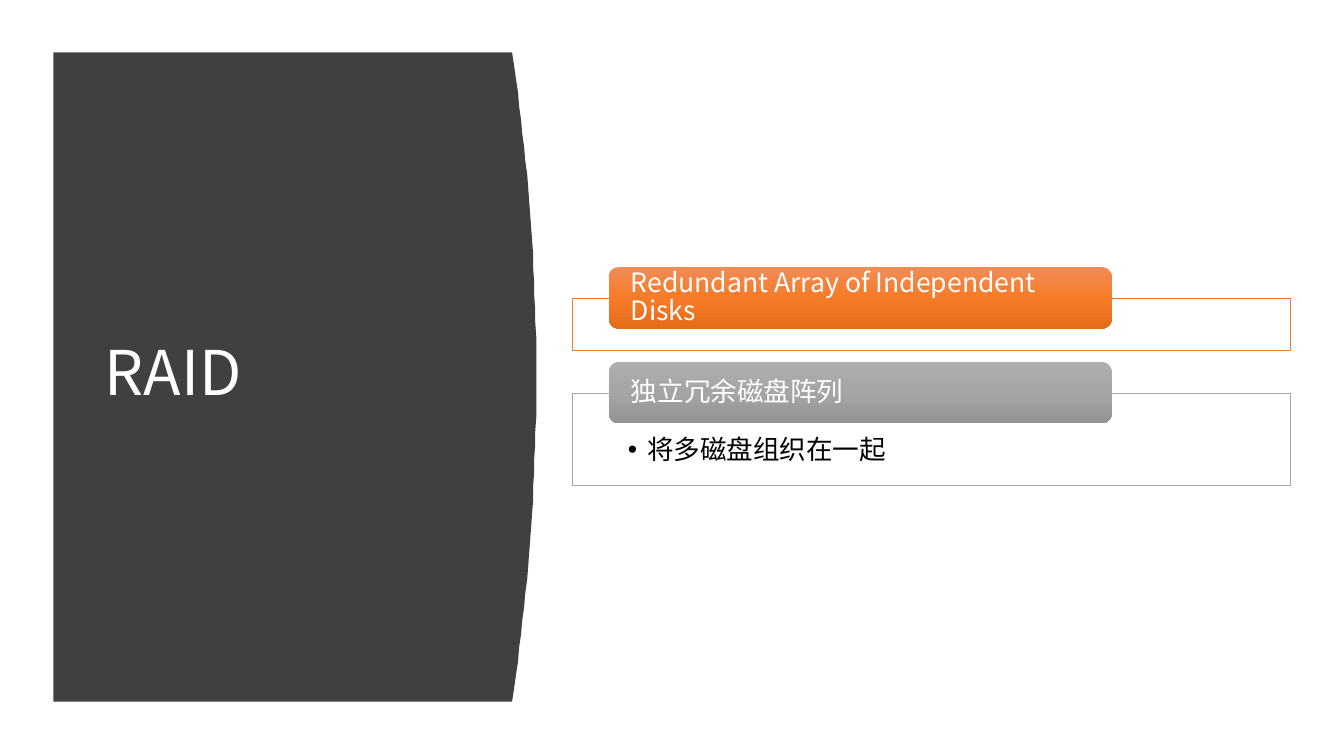
import copy

import pptx
import pptx.dml.color
import pptx.enum.shapes
import pptx.enum.text
import pptx.oxml
import pptx.oxml.ns
import pptx.util

PX = 9144  # EMU per px, 100 px to the inch
FACE = "Noto Sans CJK SC"
HUES = {
    "panel": "404040", "white": "FFFFFF", "black": "000000",
    "orange": "ED7D31", "gray": "A5A5A5",
}
FADES = {
    "orange": ["F18C57", "F67B28", "E56C19"],
    "gray": ["AFAFAF", "A5A5A5", "939393"],
}
KINDS = pptx.enum.shapes.MSO_SHAPE
ANCHOR = pptx.enum.text.MSO_ANCHOR
LEFT = pptx.enum.text.PP_ALIGN.LEFT
FIT = pptx.enum.text.MSO_AUTO_SIZE.NONE


def rgb(code):
    return pptx.dml.color.RGBColor.from_string(code)


def apply(item, values):
    for key, value in values.items():
        setattr(item, key, value)


def child(node, tag, **attrs):
    part = pptx.oxml.ns.qn(tag)
    return node.makeelement(part, attrs)


def write(shape, text, size, hue, anchor, pads):
    """Fill a shape with one left-aligned paragraph."""
    frame = shape.text_frame
    frame.text = text
    sides = ["margin_left", "margin_top", "margin_right", "margin_bottom"]
    apply(frame, {"word_wrap": True, "auto_size": FIT, "vertical_anchor": anchor})
    apply(frame, {side: pad * PX for side, pad in zip(sides, pads)})
    para = frame.paragraphs[0]
    apply(para, {"alignment": LEFT, "line_spacing": 0.9})
    font = para.runs[0].font
    apply(font, {"name": FACE, "size": pptx.util.Pt(size), "bold": False})
    font.color.rgb = rgb(HUES[hue])
    latin = font._element.find(pptx.oxml.ns.qn("a:latin"))
    latin.addnext(child(latin, "a:ea", typeface=FACE))
    return para


def block(slide, kind, box):
    shape = slide.shapes.add_shape(kind, *[n * PX for n in box])
    shape.shadow.inherit = False
    return shape


def panel(slide):
    """Dark panel whose right edge bulges as a parabola."""
    left, top, side, bottom, bulge, steps = 53, 52, 508, 696, 24, 48
    edge = []
    for i in range(steps + 1):
        t = i / steps
        edge.append((side + bulge * 4 * t * (1 - t), top + (bottom - top) * t))
    pen = slide.shapes.build_freeform(left, top, scale=PX)
    pen.add_line_segments(edge + [(left, bottom)], close=True)
    shape = pen.convert_to_shape()
    shape.shadow.inherit = False
    shape.fill.solid()
    shape.fill.fore_color.rgb = rgb(HUES["panel"])
    shape.line.fill.background()
    slide.shapes._spTree.insert(2, shape._element)  # behind the title


def title(slide, text):
    shape = slide.shapes.title
    box = {"left": 94, "top": 111, "width": 374, "height": 524}
    apply(shape, {key: n * PX for key, n in box.items()})
    write(shape, text, 44, "white", ANCHOR.MIDDLE, [10, 5, 10, 5])


def outline(slide, top, height, hue, note):
    """Thin frame, with a bulleted note if there is one."""
    shape = block(slide, KINDS.RECTANGLE, [568, top, 712, height])
    shape.fill.solid()
    shape.fill.fore_color.rgb = rgb(HUES["white"])
    tone = shape._element.spPr.find(".//" + pptx.oxml.ns.qn("a:srgbClr"))
    tone.append(child(tone, "a:alpha", val="90000"))
    shape.line.color.rgb = rgb(HUES[hue])
    shape.line.width = pptx.util.Pt(0.5)
    if note:
        para = write(shape, note, 19, "black", ANCHOR.TOP, [55, 43, 55, 15])
        props = para._p.get_or_add_pPr()
        props.set("marL", str(19 * PX))
        props.set("indent", str(-19 * PX))
        props.append(child(props, "a:buFont", typeface="Arial"))
        props.append(child(props, "a:buChar", char="•"))


def label(slide, top, hue, text):
    """Rounded heading with a three-stop vertical fade."""
    shape = block(slide, KINDS.ROUNDED_RECTANGLE, [604, top, 499, 61])
    shape.line.fill.background()
    shape.fill.gradient()
    shape.fill.gradient_angle = 270
    first = shape._element.spPr.find(".//" + pptx.oxml.ns.qn("a:gs"))
    first.addnext(copy.deepcopy(first))
    for i, stop in enumerate(shape.fill.gradient_stops):
        stop.position = i / 2
        stop.color.rgb = rgb(FADES[hue][i])
    write(shape, text, 19, "white", ANCHOR.MIDDLE, [19, 0, 19, 0])


def main():
    deck = pptx.Presentation()
    apply(deck, {"slide_width": 12192000, "slide_height": 750 * PX})
    slide = deck.slides.add_slide(deck.slide_layouts[5])

    # Left side
    title(slide, "RAID")
    panel(slide)

    # Right side: frame top, frame height, hue, heading, note
    items = [
        (296, 52, "orange", "Redundant Array of Independent Disks", ""),
        (390, 92, "gray", "独立冗余磁盘阵列", "将多磁盘组织在一起"),
    ]
    for top, height, hue, text, note in items:
        outline(slide, top, height, hue, note)
        label(slide, top - 31, hue, text)

    deck.save("out.pptx")


if __name__ == "__main__":
    main()
